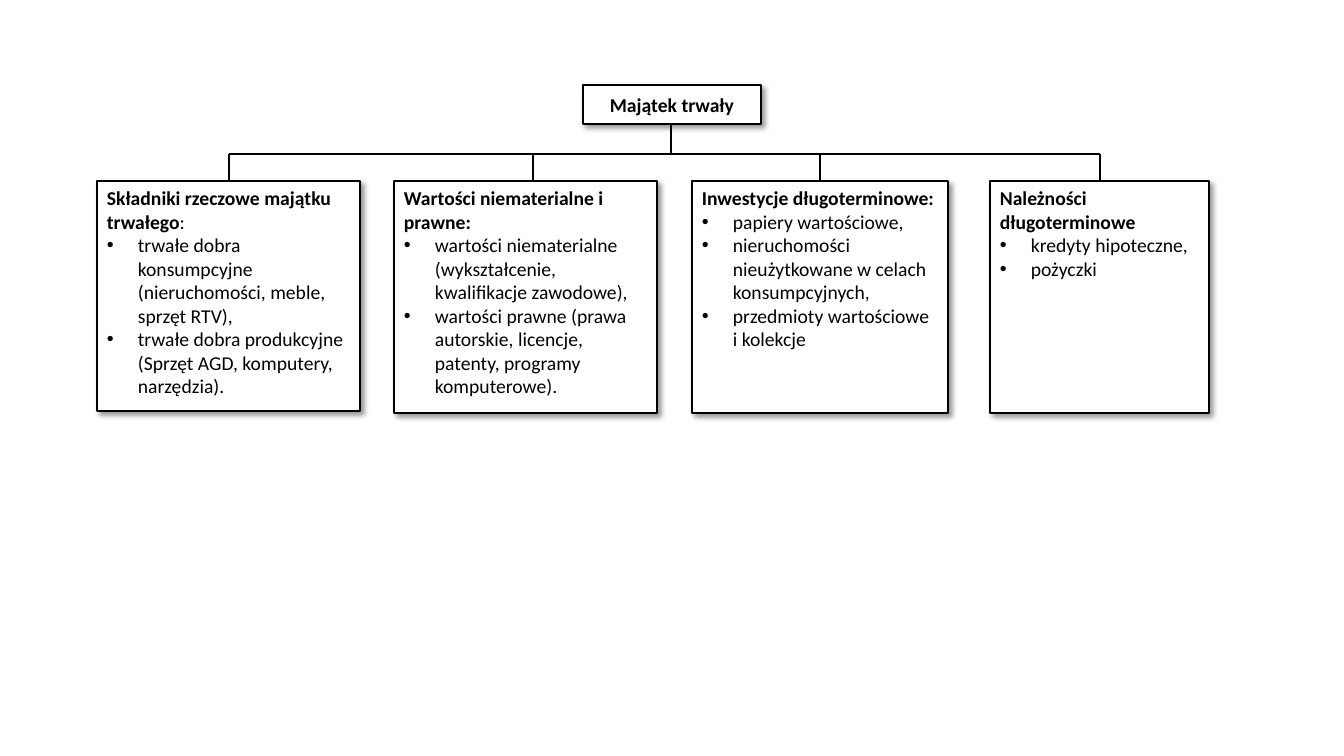
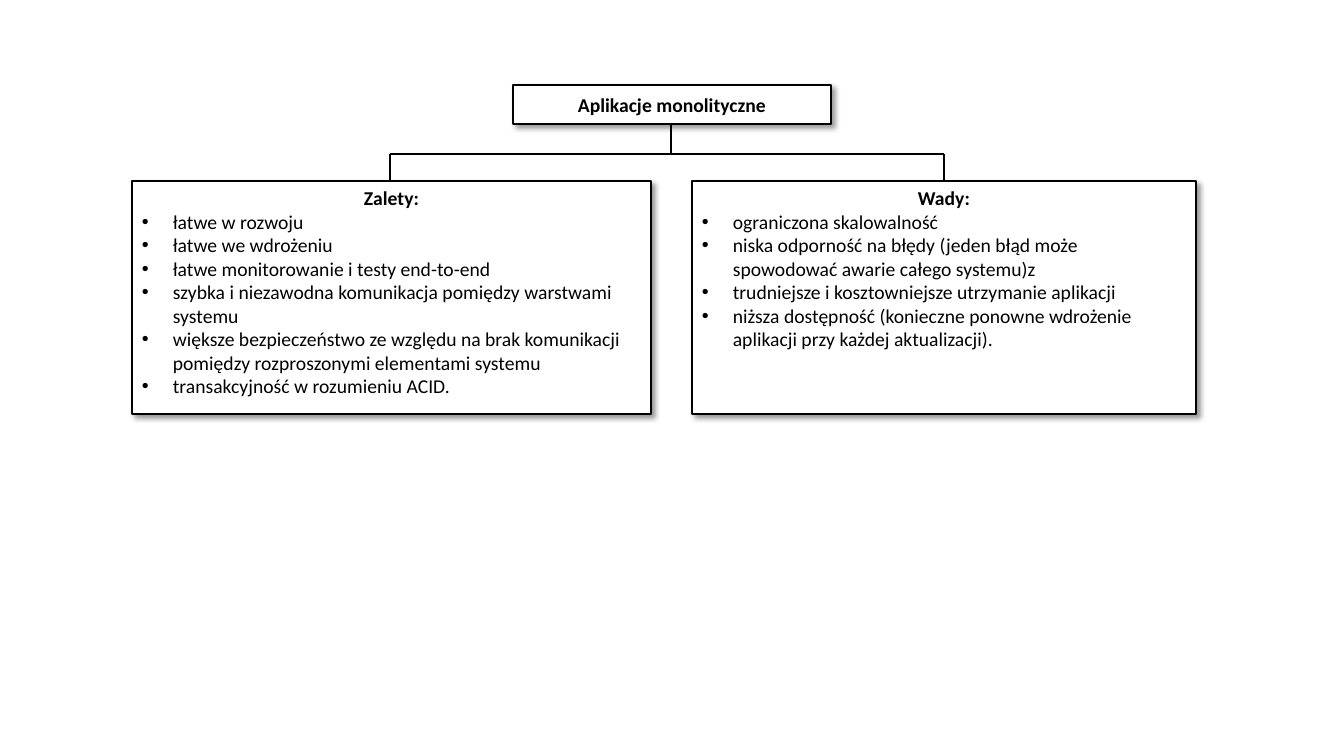
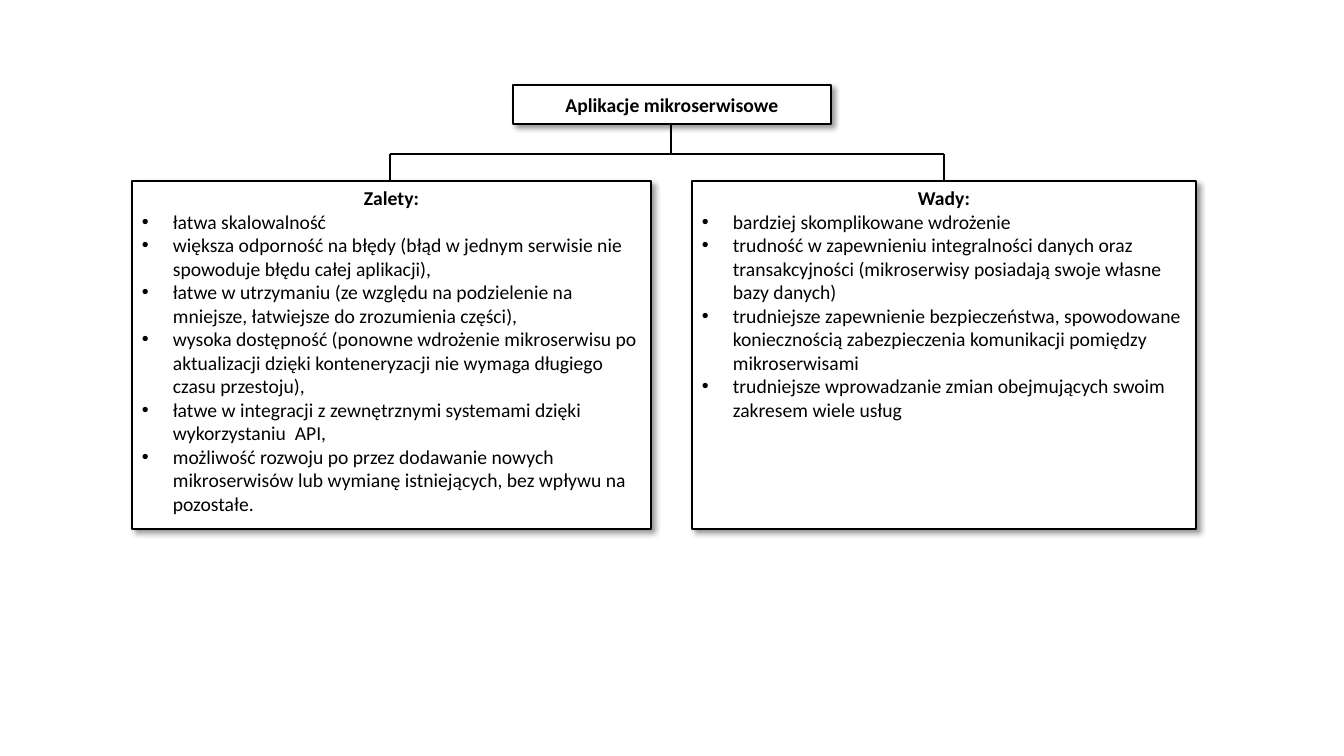
import dataclasses

import lxml.etree
import pptx
import pptx.dml.color
import pptx.enum.shapes
import pptx.enum.text
import pptx.oxml.ns
import pptx.util


@dataclasses.dataclass(frozen=True)
class Theme:
    """Colours, type and line weights shared by all slides."""

    ink: pptx.dml.color.RGBColor = pptx.dml.color.RGBColor(0, 0, 0)
    paper: pptx.dml.color.RGBColor = pptx.dml.color.RGBColor(255, 255, 255)
    font: str = "Calibri"
    text_size: int = 14
    thin: float = 1
    thick: float = 1.5


THEME = Theme()
PIXEL = 914400 / 100.8
LEFT = pptx.enum.text.PP_ALIGN.LEFT
CENTER = pptx.enum.text.PP_ALIGN.CENTER
TOP = pptx.enum.text.MSO_ANCHOR.TOP
MIDDLE = pptx.enum.text.MSO_ANCHOR.MIDDLE
QN = pptx.oxml.ns.qn

ROOT_TOP, ROOT_HEIGHT = 85, 39
STEM_X, BAR_Y, COLUMN_TOP = 671, 154, 181
BULLET_INDENT = 31


def write_text(frame, text, bold=False, align=LEFT, bullet=False, plain_end=""):
    """Add one paragraph, optionally bulleted or with an unbolded ending."""
    para = frame.paragraphs[0]
    if para.runs:
        para = frame.add_paragraph()
    para.alignment = align
    for words, weight in ((text, bold), (plain_end, False)):
        if words:
            span = para.add_run()
            span.text = words
            span.font.name = THEME.font
            span.font.size = pptx.util.Pt(THEME.text_size)
            span.font.bold = weight
            span.font.color.rgb = THEME.ink
    if bullet:
        properties = para._p.get_or_add_pPr()
        indent = round(BULLET_INDENT * PIXEL)
        properties.set("marL", str(indent))
        properties.set("indent", str(-indent))
        lxml.etree.SubElement(properties, QN("a:buFont"), typeface="Arial")
        lxml.etree.SubElement(properties, QN("a:buChar"), char="•")


def add_box(page, left, top, width, height, anchor):
    """Draw a bordered box with a soft shadow and return its text frame."""
    box = page.shapes.add_shape(
        pptx.enum.shapes.MSO_SHAPE.RECTANGLE,
        *(round(length * PIXEL) for length in (left, top, width, height)),
    )
    box.fill.solid()
    box.fill.fore_color.rgb = THEME.paper
    box.line.color.rgb = THEME.ink
    box.line.width = pptx.util.Pt(THEME.thin)
    box.shadow.inherit = False
    effects = box._element.spPr.find(QN("a:effectLst"))
    shadow = lxml.etree.SubElement(
        effects, QN("a:outerShdw"), blurRad=str(pptx.util.Pt(4)),
        dist=str(pptx.util.Pt(3)), dir="2700000", algn="tl", rotWithShape="0",
    )
    colour = lxml.etree.SubElement(shadow, QN("a:srgbClr"), val=str(THEME.ink))
    lxml.etree.SubElement(colour, QN("a:alpha"), val="40000")
    box.text_frame.word_wrap = True
    box.text_frame.vertical_anchor = anchor
    return box.text_frame


# Root: title, left, width.
# Column: left, width, height, branch x, heading, plain ending, bullet points.
PAIR_ALIGN = CENTER
charts = [
    (("Majątek trwały", 583, 178), LEFT, [
        (97, 263, 230, 229, "Składniki rzeczowe majątku trwałego", ":", [
            "trwałe dobra konsumpcyjne (nieruchomości, meble, sprzęt RTV),",
            "trwałe dobra produkcyjne (Sprzęt AGD, komputery, narzędzia).",
        ]),
        (394, 263, 232, 533, "Wartości niematerialne i prawne:", "", [
            "wartości niematerialne (wykształcenie, kwalifikacje zawodowe),",
            "wartości prawne (prawa autorskie, licencje, patenty, programy komputerowe).",
        ]),
        (692, 256, 232, 820, "Inwestycje długoterminowe:", "", [
            "papiery wartościowe,",
            "nieruchomości nieużytkowane w celach konsumpcyjnych,",
            "przedmioty wartościowe i kolekcje",
        ]),
        (990, 219, 232, 1100, "Należności długoterminowe", "", [
            "kredyty hipoteczne,",
            "pożyczki",
        ]),
    ]),
    (("Aplikacje monolityczne", 513, 318), PAIR_ALIGN, [
        (132, 519, 233, 390, "Zalety:", "", [
            "łatwe w rozwoju",
            "łatwe we wdrożeniu",
            "łatwe monitorowanie i testy end-to-end",
            "szybka i niezawodna komunikacja pomiędzy warstwami systemu",
            "większe bezpieczeństwo ze względu na brak komunikacji pomiędzy "
            "rozproszonymi elementami systemu",
            "transakcyjność w rozumieniu ACID.",
        ]),
        (692, 504, 233, 944, "Wady:", "", [
            "ograniczona skalowalność",
            "niska odporność na błędy (jeden błąd może spowodować awarie "
            "całego systemu)z",
            "trudniejsze i kosztowniejsze utrzymanie aplikacji",
            "niższa dostępność (konieczne ponowne wdrożenie aplikacji przy "
            "każdej aktualizacji).",
        ]),
    ]),
    (("Aplikacje mikroserwisowe", 513, 318), PAIR_ALIGN, [
        (132, 519, 348, 390, "Zalety:", "", [
            "łatwa skalowalność",
            "większa odporność na błędy (błąd w jednym serwisie nie spowoduje "
            "błędu całej aplikacji),",
            "łatwe w utrzymaniu (ze względu na podzielenie na mniejsze, "
            "łatwiejsze do zrozumienia części),",
            "wysoka dostępność (ponowne wdrożenie mikroserwisu po aktualizacji "
            "dzięki konteneryzacji nie wymaga długiego czasu przestoju),",
            "łatwe w integracji z zewnętrznymi systemami dzięki "
            "wykorzystaniu  API,",
            "możliwość rozwoju po przez dodawanie nowych mikroserwisów lub "
            "wymianę istniejących, bez wpływu na pozostałe.",
        ]),
        (692, 504, 348, 944, "Wady:", "", [
            "bardziej skomplikowane wdrożenie",
            "trudność w zapewnieniu integralności danych oraz transakcyjności "
            "(mikroserwisy posiadają swoje własne bazy danych)",
            "trudniejsze zapewnienie bezpieczeństwa, spowodowane koniecznością "
            "zabezpieczenia komunikacji pomiędzy mikroserwisami",
            "trudniejsze wprowadzanie zmian obejmujących swoim zakresem wiele usług",
        ]),
    ]),
]

deck = pptx.Presentation()
deck.slide_width = round(1344 * PIXEL)
deck.slide_height = round(756 * PIXEL)

for (title, root_left, root_width), heading_align, columns in charts:
    page = deck.slides.add_slide(deck.slide_layouts[6])
    root = add_box(page, root_left, ROOT_TOP, root_width, ROOT_HEIGHT, MIDDLE)
    write_text(root, title, bold=True, align=CENTER)

    for left, width, height, branch_x, heading, ending, points in columns:
        frame = add_box(page, left, COLUMN_TOP, width, height, TOP)
        write_text(frame, heading, bold=True, align=heading_align, plain_end=ending)
        for point in points:
            write_text(frame, point, bullet=True)

    branches = [column[3] for column in columns]
    lines = [
        (STEM_X, ROOT_TOP + ROOT_HEIGHT, STEM_X, BAR_Y, THEME.thick),
        (branches[-1], BAR_Y, branches[0], BAR_Y, THEME.thin),
    ]
    lines += [(x, BAR_Y, x, COLUMN_TOP, THEME.thin) for x in branches]
    for *ends, weight in lines:
        line = page.shapes.add_connector(
            pptx.enum.shapes.MSO_CONNECTOR.STRAIGHT,
            *(round(end * PIXEL) for end in ends),
        )
        line.line.color.rgb = THEME.ink
        line.line.width = pptx.util.Pt(weight)
        lxml.etree.SubElement(line._element.spPr, QN("a:effectLst"))

deck.save("out.pptx")
